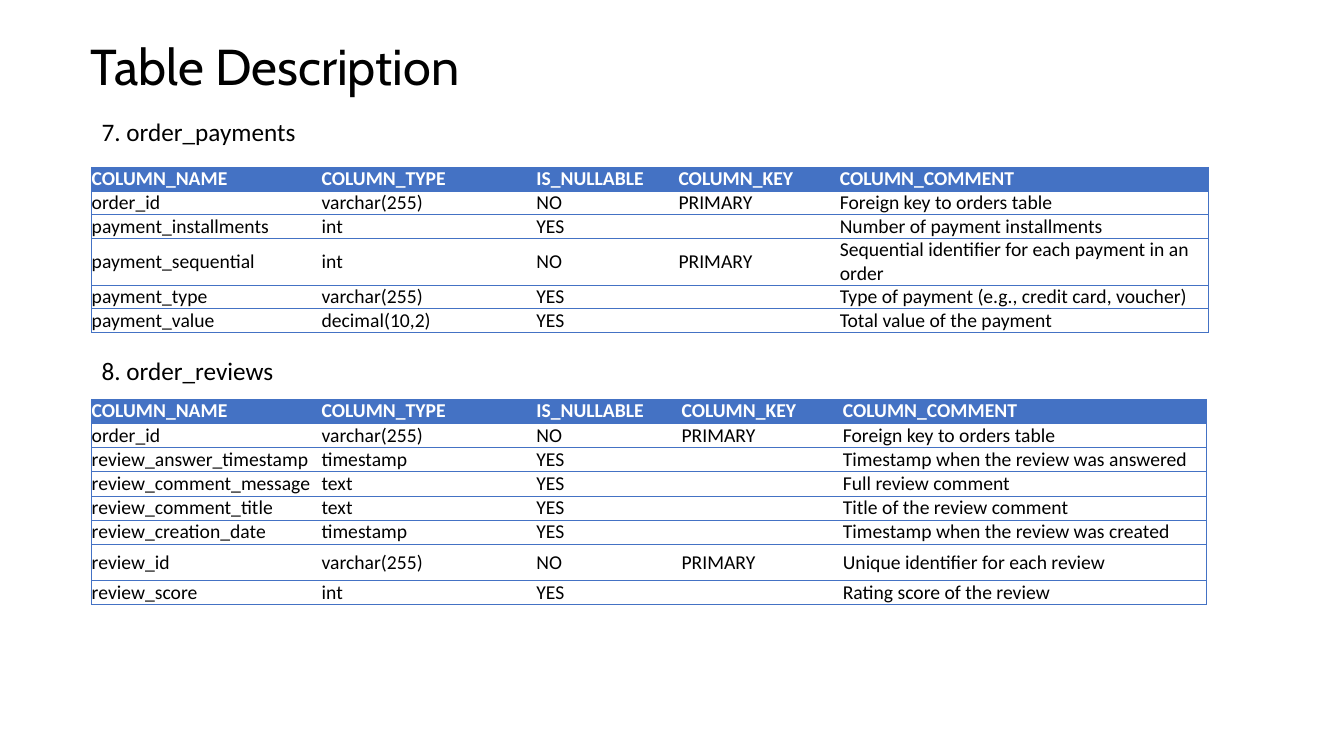
from lxml.etree import SubElement
from pptx import Presentation
from pptx.dml.color import RGBColor
from pptx.enum.text import MSO_ANCHOR
from pptx.oxml.ns import qn
from pptx.util import Inches, Pt

COLORS = {"text": "000000", "header_text": "FFFFFF", "accent": "4472C4"}
NO_STYLE_NO_GRID = "{2D5ABB26-0587-4C30-8999-92F81FD0307C}"
CELL_SIZE = 14
BORDER_WIDTH = 0.5
TABLE_LEFT = 0.91

HEADER = ("COLUMN_NAME", "COLUMN_TYPE", "IS_NULLABLE", "COLUMN_KEY", "COLUMN_COMMENT")
PAYMENTS = [
    HEADER,
    ("order_id", "varchar(255)", "NO", "PRIMARY", "Foreign key to orders table"),
    ("payment_installments", "int", "YES", "", "Number of payment installments"),
    ("payment_sequential", "int", "NO", "PRIMARY",
     "Sequential identifier for each payment in an order"),
    ("payment_type", "varchar(255)", "YES", "",
     "Type of payment (e.g., credit card, voucher)"),
    ("payment_value", "decimal(10,2)", "YES", "", "Total value of the payment"),
]
REVIEWS = [
    HEADER,
    ("order_id", "varchar(255)", "NO", "PRIMARY", "Foreign key to orders table"),
    ("review_answer_timestamp", "timestamp", "YES", "",
     "Timestamp when the review was answered"),
    ("review_comment_message", "text", "YES", "", "Full review comment"),
    ("review_comment_title", "text", "YES", "", "Title of the review comment"),
    ("review_creation_date", "timestamp", "YES", "",
     "Timestamp when the review was created"),
    ("review_id", "varchar(255)", "NO", "PRIMARY", "Unique identifier for each review"),
    ("review_score", "int", "YES", "", "Rating score of the review"),
]


def format_runs(paragraph, size, font="Calibri", color="text", bold=False):
    for run in paragraph.runs:
        run.font.name = font
        run.font.size = Pt(size)
        run.font.bold = bold
        run.font.color.rgb = RGBColor.from_string(COLORS[color])


def add_text(slide, text, left, top, width, height, size, font="Calibri"):
    shape = slide.shapes.add_textbox(
        Inches(left), Inches(top), Inches(width), Inches(height))
    text_frame = shape.text_frame
    text_frame.word_wrap = True
    text_frame.text = text
    format_runs(text_frame.paragraphs[0], size, font)
    return text_frame


def add_borders(cell, sides):
    properties = cell._tc.get_or_add_tcPr()
    for side in sides:
        line = SubElement(properties, qn(f"a:ln{side}"), w=str(Pt(BORDER_WIDTH)))
        fill = SubElement(line, qn("a:solidFill"))
        SubElement(fill, qn("a:srgbClr"), val=COLORS["accent"])


def fill_cell(cell, text, is_header, sides):
    cell.margin_left = cell.margin_right = cell.margin_top = cell.margin_bottom = 0
    cell.vertical_anchor = MSO_ANCHOR.MIDDLE
    add_borders(cell, sides)
    paragraph = cell.text_frame.paragraphs[0]
    if text:
        paragraph.text = text
        format_runs(paragraph, CELL_SIZE, bold=is_header,
                    color="header_text" if is_header else "text")
    else:
        # An empty cell needs its own text size, or it would stretch the row
        SubElement(paragraph._p, qn("a:endParaRPr"), sz=str(CELL_SIZE * 100))
    if is_header:
        cell.fill.solid()
        cell.fill.fore_color.rgb = RGBColor.from_string(COLORS["accent"])
    else:
        cell.fill.background()


def add_column_table(slide, rows, top, height, column_widths, row_heights):
    frame = slide.shapes.add_table(
        len(rows), len(HEADER), Inches(TABLE_LEFT), Inches(top),
        Inches(sum(column_widths)), Inches(height))
    table = frame.table
    table.horz_banding = False
    table._tbl.tblPr.find(qn("a:tableStyleId")).text = NO_STYLE_NO_GRID
    for column, width in zip(table.columns, column_widths):
        column.width = Inches(width)
    for row, row_height in zip(table.rows, row_heights):
        row.height = Inches(row_height)
    frame.height = Inches(height)

    last_column = len(HEADER) - 1
    for row_index, values in enumerate(rows):
        for column_index, text in enumerate(values):
            sides = ["T", "B"]
            if column_index == 0:
                sides.insert(0, "L")
            elif column_index == last_column:
                sides.insert(0, "R")
            fill_cell(table.cell(row_index, column_index), text, row_index == 0, sides)


def main():
    presentation = Presentation()
    presentation.slide_width = Inches(13.33)
    presentation.slide_height = Inches(7.5)
    slide = presentation.slides.add_slide(presentation.slide_layouts[6])

    title = add_text(slide, "Table Description", 0.8, 0.27, 11.5, 0.84, 36, "Cabin")
    title.vertical_anchor = MSO_ANCHOR.MIDDLE
    title.paragraphs[0].line_spacing = 0.9

    add_text(slide, "7. order_payments", TABLE_LEFT, 1.11, 3.56, 0.4, 18)
    add_column_table(slide, PAYMENTS, 1.66, 1.63,
                     [2.28, 2.13, 1.41, 1.6, 3.65], [0.2] + [0.21] * 5)
    add_text(slide, "8. order_reviews", TABLE_LEFT, 3.48, 3.56, 0.4, 18)
    add_column_table(slide, REVIEWS, 3.96, 2.04,
                     [2.28, 2.13, 1.44, 1.6, 3.61], [0.24] * 6 + [0.36, 0.24])

    presentation.save("out.pptx")


if __name__ == "__main__":
    main()
